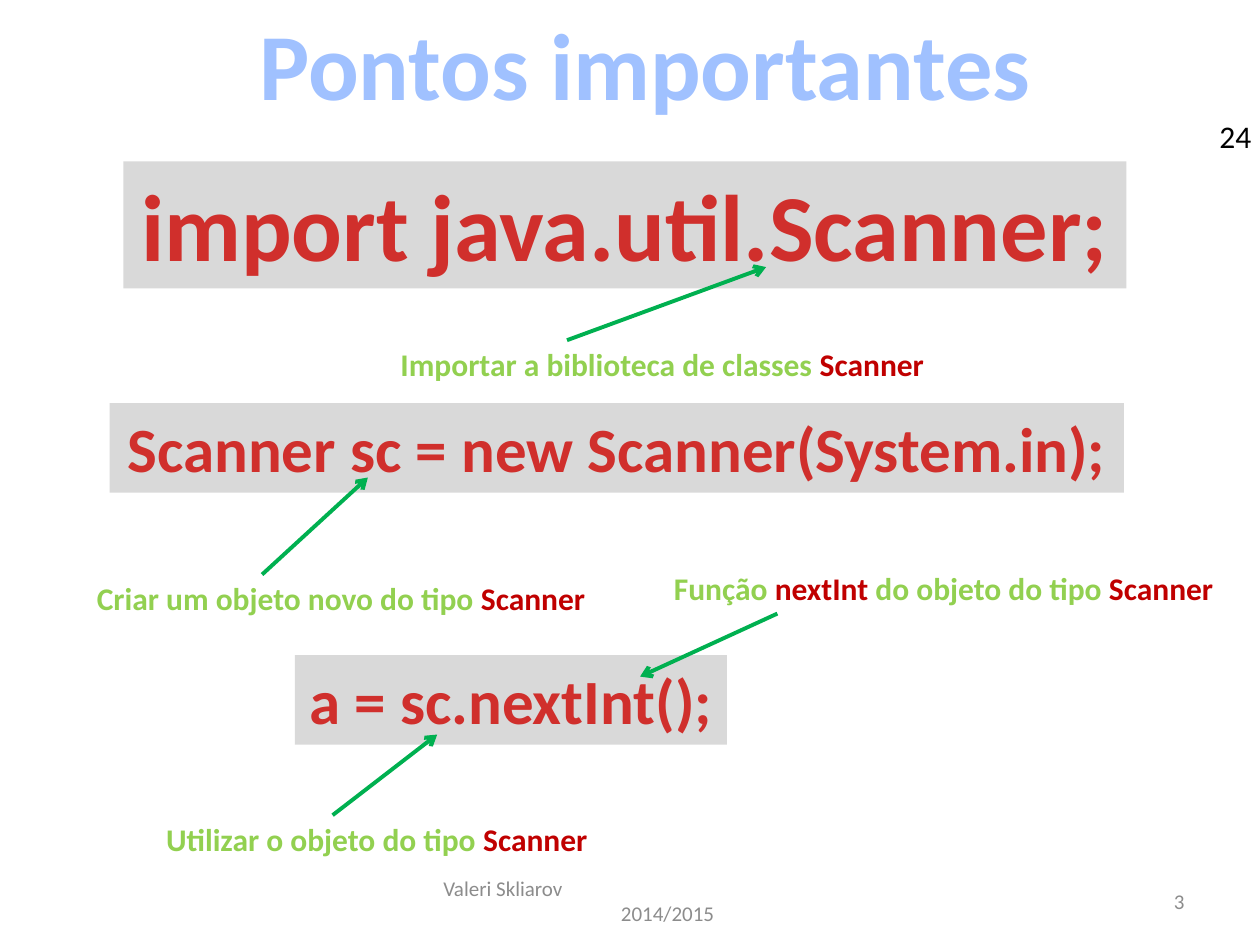
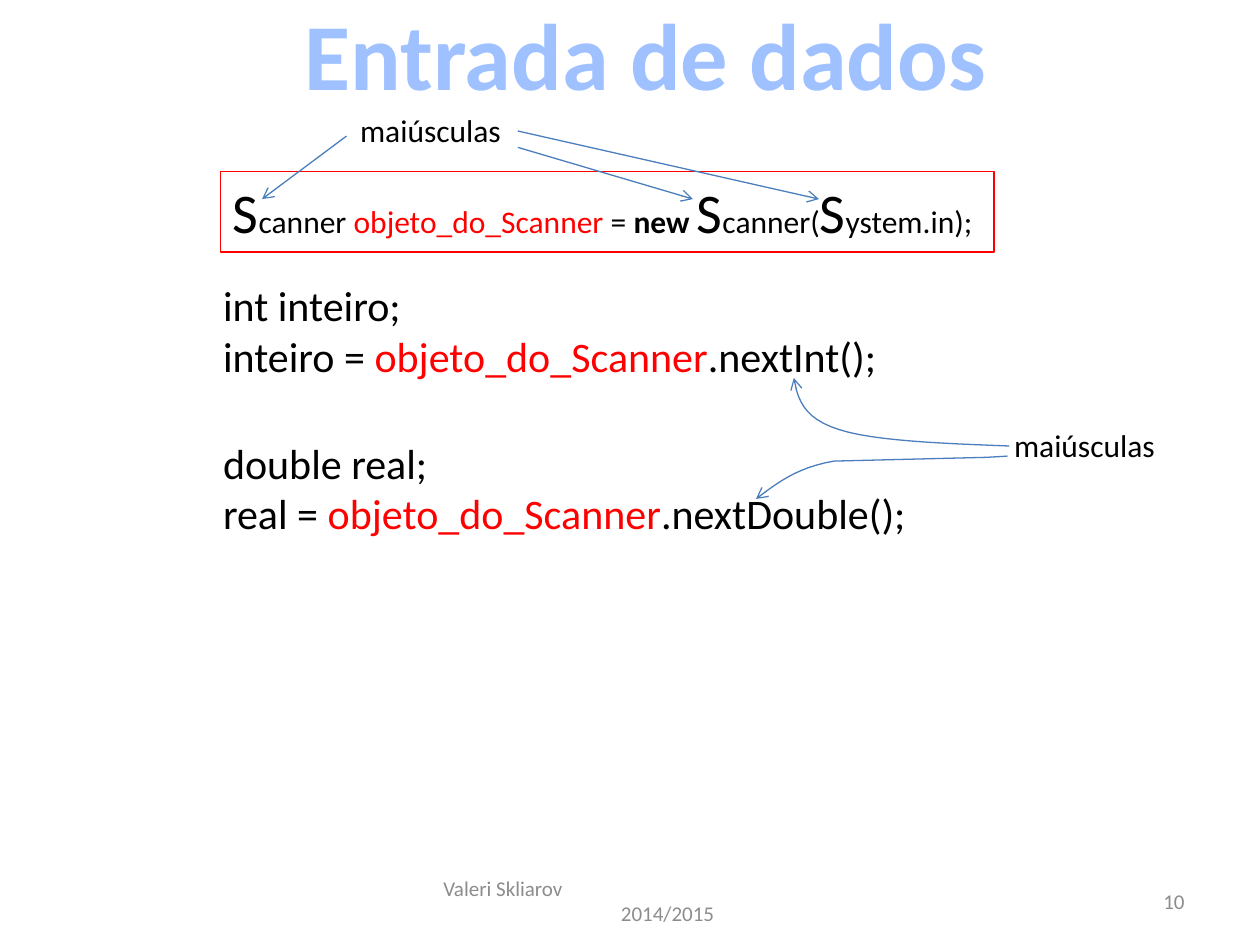
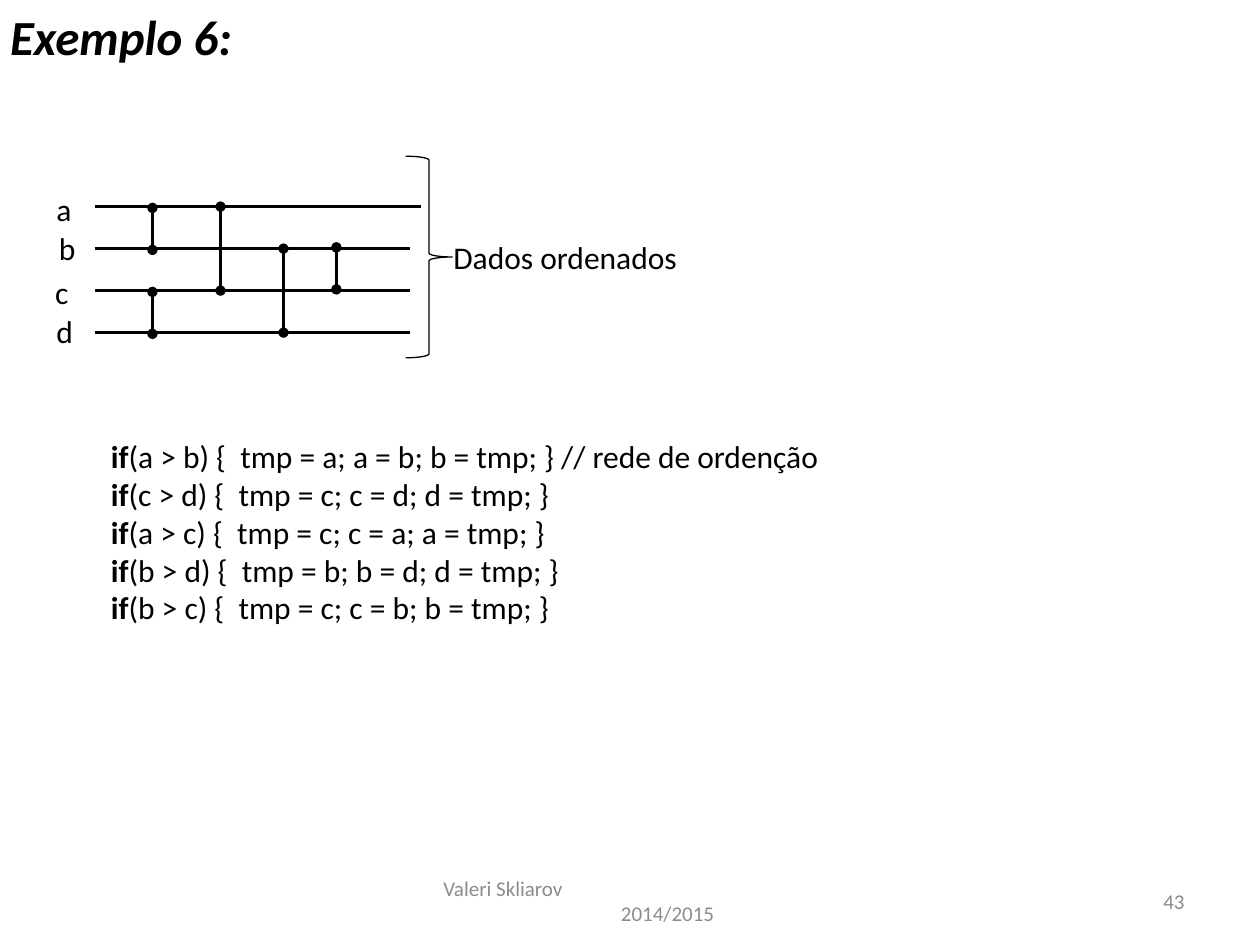
from dataclasses import dataclass

from lxml import etree
from pptx import Presentation
from pptx.dml.color import RGBColor
from pptx.enum.shapes import MSO_CONNECTOR, MSO_SHAPE
from pptx.enum.text import MSO_ANCHOR, MSO_AUTO_SIZE, PP_ALIGN
from pptx.oxml.ns import qn
from pptx.util import Inches, Pt

LEFT, CENTER, RIGHT = PP_ALIGN.LEFT, PP_ALIGN.CENTER, PP_ALIGN.RIGHT
TOP, MIDDLE = MSO_ANCHOR.TOP, MSO_ANCHOR.MIDDLE
TITLE_AND_BODY, TWO_BODIES, TITLE_ONLY = 1, 3, 5


@dataclass(frozen=True)
class Style:
    size: int
    color: str
    bold: bool = False
    italic: bool = False


@dataclass(frozen=True)
class Theme:
    font = "Calibri"
    panel = "D9D9D9"
    frame = "FF0000"
    pointer = "00B050"
    thin_pointer = "4B7EBC"
    ink = "000000"
    styles = {
        "title": Style(54, "A0C1FF", bold=True),
        "example": Style(28, "000000", bold=True, italic=True),
        "big_code": Style(54, "D02F2C", bold=True),
        "code": Style(36, "D02F2C", bold=True),
        "note": Style(18, "92D050", bold=True),
        "term": Style(18, "C00000", bold=True),
        "plain": Style(18, "000000"),
        "keyword": Style(18, "000000", bold=True),
        "name": Style(18, "FF0000"),
        "capital": Style(32, "000000"),
        "body": Style(24, "000000"),
        "body_name": Style(24, "FF0000"),
        "footer": Style(12, "8C8C8C"),
    }


THEME = Theme()

AUTHOR, YEAR = "Valeri Skliarov", "2014/2015"

STATEMENTS = [
    ("import java.util.Scanner;", "big_code", (0.98, 1.28, 7.96, 1.01)),
    ("Scanner sc = new Scanner(System.in);", "code", (0.87, 3.2, 8.05, 0.71)),
    ("a = sc.nextInt();", "code", (2.34, 5.2, 3.43, 0.71)),
]
REMARKS = [
    ([("Importar a biblioteca de classes ", "note"), ("Scanner", "term")],
     (3.08, 2.69, 4.39, 0.4), (4.5, 2.7), (6.08, 2.12)),
    ([("Criar um objeto novo do tipo ", "note"), ("Scanner", "term")],
     (0.67, 4.55, 4.11, 0.4), (2.08, 4.56), (2.92, 3.79)),
    ([("Utilizar o objeto do tipo ", "note"), ("Scanner", "term")],
     (1.22, 6.46, 3.57, 0.33), (2.64, 6.47), (3.47, 5.83)),
    ([("Função ", "note"), ("nextInt", "term"),
      (" do objeto do tipo ", "note"), ("Scanner", "term")],
     (5.25, 4.47, 4.62, 0.4), (6.17, 4.87), (5.08, 5.37)),
]

DECLARATION = [
    ("S", "capital"), ("canner ", "plain"), ("objeto_do_Scanner", "name"),
    (" = ", "plain"), ("new ", "keyword"), ("S", "capital"),
    ("canner(", "plain"), ("S", "capital"), ("ystem.in);", "plain"),
]
READINGS = [
    ("int inteiro;", "inteiro = ", ".nextInt();", (1.67, 2.17, 5.4, 0.91)),
    ("double real;", "real = ", ".nextDouble();", (1.67, 3.42, 5.83, 0.91)),
]
CAPITALS_LABEL = "maiúsculas"
CAPITALS_PLACES = [(2.76, 0.83, 1.34, 0.4), (7.95, 3.33, 1.34, 0.4)]
CAPITALS_POINTERS = [
    ((2.75, 1.08), (2.08, 1.58)),
    ((4.11, 1.17), (5.5, 1.58)),
    ((4.11, 1.04), (6.5, 1.58)),
]
CAPITALS_CURVES = [
    [((8.01, 3.54), (7.48, 3.52), (6.94, 3.5), (6.66, 3.41)),
     ((6.66, 3.41), (6.37, 3.32), (6.33, 3.16), (6.3, 3))],
    [((7.99, 3.62), (8.02, 3.62), (7.83, 3.63), (7.83, 3.63)),
     ((6.62, 3.66), (6.32, 3.71), (6.16, 3.84), (6, 3.96))],
]

RAIL_LEFT, RAIL_TOP, RAIL_GAP = 0.75, 1.64, 1 / 3
RAILS = [("a", 0.35, 1.46, 3.34), ("b", 0.37, 1.77, 3.25),
         ("c", 0.34, 2.12, 3.25), ("d", 0.35, 2.43, 3.25)]
COMPARATORS = [(1.21, "a", "b", 0.01), (1.21, "c", "d", 0.01),
               (1.75, "a", "c", 0), (2.25, "b", "d", 0), (2.67, "b", "c", -0.01)]
SWAPS = [
    "(a > b) {  tmp = a; a = b; b = tmp; } // rede de ordenção",
    "(c > d) {  tmp = c; c = d; d = tmp; }",
    "(a > c) {  tmp = c; c = a; a = tmp; }",
    "(b > d) {  tmp = b; b = d; d = tmp; }",
    "(b > c) {  tmp = c; c = b; b = tmp; }",
]


def rgb(color):
    return RGBColor.from_string(color)


def place(shape, box):
    shape.left, shape.top, shape.width, shape.height = map(Inches, box)


def write(shape, lines, align=LEFT, anchor=TOP, wrap=False):
    frame = shape.text_frame
    frame.auto_size = MSO_AUTO_SIZE.NONE
    frame.word_wrap = wrap
    frame.vertical_anchor = anchor
    for index, line in enumerate(lines):
        paragraph = frame.paragraphs[0] if index == 0 else frame.add_paragraph()
        paragraph.alignment = align
        paragraph.font.name = THEME.font
        for text, role in line:
            style = THEME.styles[role]
            run = paragraph.add_run()
            run.text = text
            run.font.name = THEME.font
            run.font.size = Pt(style.size)
            run.font.bold = style.bold
            run.font.italic = style.italic
            run.font.color.rgb = rgb(style.color)
    return frame


def add_text(shapes, lines, box, fill=None, frame_color=None, **layout):
    label = shapes.add_textbox(*map(Inches, box))
    if fill:
        label.fill.solid()
        label.fill.fore_color.rgb = rgb(fill)
    if frame_color:
        draw_line(label, frame_color, 0.75)
    return write(label, lines, **layout)


def indent(paragraph, inches):
    properties = paragraph._p.get_or_add_pPr()
    properties.set("marL", str(Inches(inches)))
    properties.set("indent", "0")
    return properties


def fill_body(body, lines, box, margin=0):
    place(body, box)
    for paragraph in write(body, lines).paragraphs:
        paragraph.space_before = Pt(0)
        properties = indent(paragraph, margin)
        bullet = etree.Element(qn("a:buNone"))
        properties.find(qn("a:spcBef")).addnext(bullet)


def draw_line(shape, color, width, head=None, tail=None):
    shape.line.color.rgb = rgb(color)
    shape.line.width = Pt(width)
    outline = shape.element.spPr.find(qn("a:ln"))
    for tag, kind in (("a:headEnd", head), ("a:tailEnd", tail)):
        if kind:
            etree.SubElement(outline, qn(tag), type=kind)


def connect(shapes, start, end, color, width, head=None, tail=None):
    line = shapes.add_connector(MSO_CONNECTOR.STRAIGHT, *map(Inches, start + end))
    draw_line(line, color, width, head, tail)
    etree.SubElement(line.element.spPr, qn("a:effectLst"))


def bezier(controls, steps=12):
    for step in range(steps + 1):
        t = step / steps
        weights = ((1 - t) ** 3, 3 * t * (1 - t) ** 2, 3 * t * t * (1 - t), t ** 3)
        yield tuple(Inches(sum(w * p[axis] for w, p in zip(weights, controls)))
                    for axis in (0, 1))


def add_curve(shapes, pieces):
    points = [point for piece in pieces for point in bezier(piece)]
    builder = shapes.build_freeform(*points[0])
    builder.add_line_segments(points[1:], close=False)
    curve = builder.convert_to_shape()
    curve.fill.background()
    curve.shadow.inherit = False
    draw_line(curve, THEME.thin_pointer, 0.75, tail="arrow")


def start_slide(deck, layout, title, box, number, role="title", align=CENTER):
    slide = deck.slides.add_slide(deck.slide_layouts[layout])
    place(slide.shapes.title, box)
    write(slide.shapes.title, [[(title, role)]], align=align)
    credit = add_text(slide.shapes, [[(AUTHOR, "footer")], [(YEAR, "footer")]],
                      (3.42, 6.95, 3.17, 0.4), anchor=MIDDLE, wrap=True)
    indent(credit.paragraphs[1], 1.41)
    add_text(slide.shapes, [[(number, "footer")]], (7.17, 6.95, 2.33, 0.4),
             align=RIGHT, anchor=MIDDLE, wrap=True)
    return slide


def build_key_points(deck):
    shapes = start_slide(deck, TITLE_ONLY, "Pontos importantes",
                         (1.93, 0, 6.38, 1.01), "3").shapes
    add_text(shapes, [[("24", "plain")]], (9.58, 0.88, 0.46, 0.4))
    for statement, role, box in STATEMENTS:
        add_text(shapes, [[(statement, role)]], box, fill=THEME.panel, align=CENTER)
    for remark, box, start, end in REMARKS:
        group = shapes.add_group_shape().shapes
        connect(group, start, end, THEME.pointer, 2.25, tail="arrow")
        add_text(group, [remark], box)


def build_data_input(deck):
    slide = start_slide(deck, TWO_BODIES, "Entrada de dados",
                        (2.29, -0.08, 5.67, 1.01), "10")
    shapes = slide.shapes
    bodies = list(slide.placeholders)[1:]
    for body, (declared, target, call, box) in zip(bodies, READINGS):
        fill_body(body, [[(declared, "body")],
                         [(target, "body"), ("objeto_do_Scanner", "body_name"),
                          (call, "body")]], box)
    add_text(shapes, [DECLARATION], (1.75, 1.36, 6.14, 0.64), frame_color=THEME.frame)
    for box in CAPITALS_PLACES:
        add_text(shapes, [[(CAPITALS_LABEL, "plain")]], box)
    for start, end in CAPITALS_POINTERS:
        connect(shapes, start, end, THEME.thin_pointer, 0.75, tail="arrow")
    for pieces in CAPITALS_CURVES:
        add_curve(shapes, pieces)


def build_sorting_network(deck):
    slide = start_slide(deck, TITLE_AND_BODY, "Exemplo 6:", (-0.02, 0, 1.98, 0.57),
                        "43", role="example", align=LEFT)
    shapes = slide.shapes
    rail_y = {}
    for index, (variable, left, top, rail_right) in enumerate(RAILS):
        y = rail_y[variable] = RAIL_TOP + index * RAIL_GAP
        connect(shapes, (RAIL_LEFT, y), (rail_right, y), THEME.ink, 1.5)
        add_text(shapes, [[(variable, "plain")]], (left, top, 0.33, 0.4))
    for x, upper, lower, shift in COMPARATORS:
        connect(shapes, (x, rail_y[upper] + shift), (x, rail_y[lower] + shift),
                THEME.ink, 1.5, head="oval", tail="oval")
    brace = shapes.add_shape(MSO_SHAPE.RIGHT_BRACE,
                             *map(Inches, (3.22, 1.24, 0.37, 1.6)))
    brace.fill.background()
    brace.shadow.inherit = False
    draw_line(brace, THEME.ink, 0.75)
    add_text(shapes, [[("Dados ordenados", "plain")]], (3.5, 1.84, 2, 0.4))
    fill_body(slide.placeholders[1],
              [[("if", "keyword"), (swap, "plain")] for swap in SWAPS],
              (0.67, 3.42, 6.02, 1.62), margin=0.11)


def main():
    deck = Presentation()
    deck.slide_width, deck.slide_height = Inches(10), Inches(7.5)
    build_key_points(deck)
    build_data_input(deck)
    build_sorting_network(deck)
    deck.save("out.pptx")


if __name__ == "__main__":
    main()
